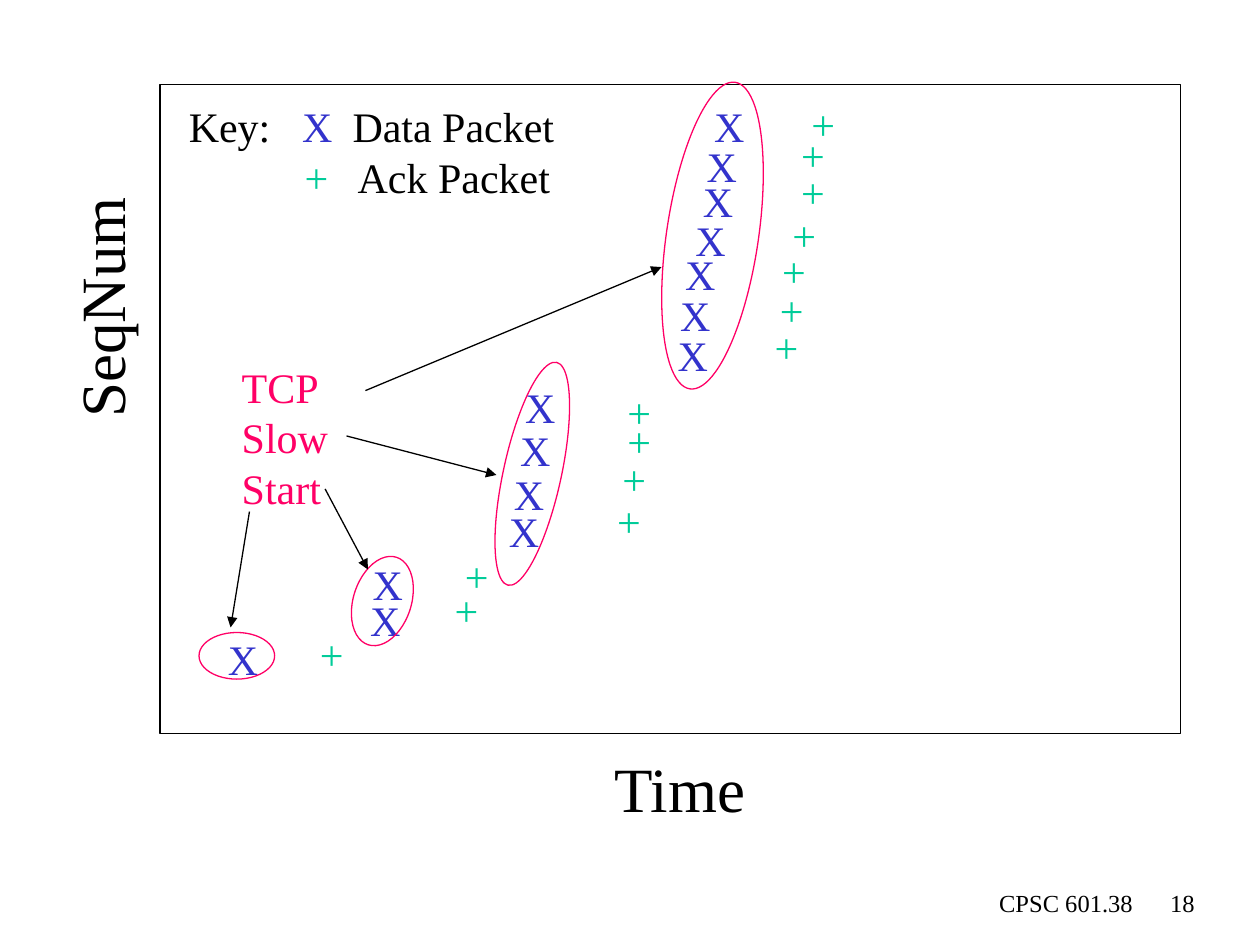
from typing import NamedTuple

from lxml import etree
from pptx import Presentation
from pptx.dml.color import RGBColor
from pptx.enum.shapes import MSO_CONNECTOR, MSO_SHAPE
from pptx.enum.text import MSO_AUTO_SIZE, PP_ALIGN
from pptx.oxml.ns import qn
from pptx.util import Inches, Pt

STRAIGHT = MSO_CONNECTOR.STRAIGHT
RECTANGLE, OVAL = MSO_SHAPE.RECTANGLE, MSO_SHAPE.OVAL
LEFT, RIGHT = PP_ALIGN.LEFT, PP_ALIGN.RIGHT
FIT_SHAPE = MSO_AUTO_SIZE.SHAPE_TO_FIT_TEXT

FONT = "Times New Roman"
BLACK, BLUE, GREEN, PINK = "000000", "3333CC", "00CC99", "FF0066"

# The slide is a grid of 100 columns by 75 rows of square cells.
COLUMNS, ROWS = 100, 75
CELL = Inches(0.1)


class Box(NamedTuple):
    column: float
    row: float
    columns: float
    rows: float


class Run(NamedTuple):
    text: str
    color: str = BLACK


class Burst(NamedTuple):
    """Packets sent in one round trip, their acks, and the oval around them."""
    oval: Box
    rotation: float
    packets: list[tuple[float, float]]
    acks: list[tuple[float, float]]
    arrow: tuple[float, float, float, float]


BURSTS = [
    Burst(Box(15.8, 50.2, 6, 3.7), 0,
          [(17.1, 49.8)],
          [(24.4, 49.4)],
          (19.8, 40.6, 18.3, 49.8)),
    Burst(Box(26.7, 45.4, 7.3, 4.6), 287.9,
          [(28.6, 43.8), (28.4, 46.7)],
          [(35.9, 43.2), (35.1, 45.9)],
          (25.8, 38.8, 29.2, 45.2)),
    Burst(Box(33.2, 35.3, 18.1, 4.6), 282.3,
          [(40.7, 29.8), (40.3, 33.2), (39.8, 36.7), (39.4, 39.6)],
          [(48.8, 30.2), (48.8, 32.5), (48.4, 35.5), (48, 38.8)],
          (27.5, 34.6, 39.4, 37.7)),
    Burst(Box(52.9, 6.4, 7.3, 24.6), 8.4,
          [(55.7, 7.5), (55.1, 10.7), (54.8, 13.4), (54.2, 16.5),
           (53.4, 19.2), (53, 22.5), (52.8, 25.7)],
          [(63.4, 7.3), (62.6, 9.8), (62.6, 12.7), (61.9, 16.1),
           (61.1, 19), (60.9, 22.1), (60.5, 25)],
          (29, 31, 52.5, 21.2)),
]


def cells(count: float) -> int:
    return round(count * CELL)


def rgb(color: str) -> RGBColor:
    return RGBColor.from_string(color)


def add_text(slide, box: Box, lines: list[list[Run]], size: float = 24,
             alignment=LEFT, wrap: bool = False):
    shape = slide.shapes.add_textbox(*map(cells, box))
    frame = shape.text_frame
    frame.word_wrap = wrap
    if not wrap:
        frame.auto_size = FIT_SHAPE
    for index, line in enumerate(lines):
        paragraph = frame.add_paragraph() if index else frame.paragraphs[0]
        paragraph.alignment = alignment
        for text, color in line:
            run = paragraph.add_run()
            run.text = text
            run.font.name = FONT
            run.font.size = Pt(size)
            run.font.color.rgb = rgb(color)
    return shape


def set_tab_stops(paragraph, stops: list[float]) -> None:
    properties = paragraph._p.get_or_add_pPr()
    tab_list = etree.SubElement(properties, qn("a:tabLst"))
    for stop in stops:
        etree.SubElement(tab_list, qn("a:tab"), pos=str(cells(stop)), algn="l")


def add_outline(slide, kind, box: Box, color: str, rotation: float = 0) -> None:
    shape = slide.shapes.add_shape(kind, *map(cells, box))
    shape.shadow.inherit = False
    shape.fill.background()
    shape.line.color.rgb = rgb(color)
    shape.line.width = Pt(0.75)
    shape.rotation = rotation


def add_arrow(slide, ends: tuple[float, float, float, float]) -> None:
    arrow = slide.shapes.add_connector(STRAIGHT, *map(cells, ends))
    arrow.line.color.rgb = rgb(BLACK)
    arrow.line.width = Pt(0.75)
    etree.SubElement(arrow.line._get_or_add_ln(), qn("a:tailEnd"), type="triangle")
    etree.SubElement(arrow._element.spPr, qn("a:effectLst"))


def add_key(slide) -> None:
    lines = [
        [Run("Key:\t"), Run("X", BLUE), Run("\tData Packet")],
        [Run("\t"), Run("+", GREEN), Run("\tAck Packet")],
    ]
    key = add_text(slide, Box(14, 7.5, 31, 9), lines, wrap=True)
    for paragraph, stops in zip(key.text_frame.paragraphs, ([9, 13], [9.2, 13.4])):
        set_tab_stops(paragraph, stops)


def add_burst(slide, burst: Burst) -> None:
    for column, row in burst.packets:
        add_text(slide, Box(column, row, 4.4, 5), [[Run("X", BLUE)]])
    for column, row in burst.acks:
        add_text(slide, Box(column, row, 3.9, 5), [[Run("+", GREEN)]])
    add_outline(slide, OVAL, burst.oval, PINK, burst.rotation)
    add_arrow(slide, burst.arrow)


def main() -> None:
    presentation = Presentation()
    presentation.slide_width = cells(COLUMNS)
    presentation.slide_height = cells(ROWS)
    slide = presentation.slides.add_slide(presentation.slide_layouts[6])

    add_outline(slide, RECTANGLE, Box(12.7, 6.7, 81, 51.5), BLACK)
    add_text(slide, Box(47.8, 59, 12.5, 7), [[Run("Time")]], 36)
    sequence_axis = add_text(slide, Box(-1.8, 20.9, 19.5, 7), [[Run("SeqNum")]], 36)
    sequence_axis.rotation = 270
    add_key(slide)

    for burst in BURSTS:
        add_burst(slide, burst)
    add_text(slide, Box(18.2, 28.2, 8.9, 13),
             [[Run(word, PINK)] for word in ("TCP", "Slow", "Start")])

    add_text(slide, Box(59.2, 70, 31.7, 5), [[Run("CPSC 601.38")]], 14, RIGHT, True)
    add_text(slide, Box(90.8, 70, 5, 5), [[Run("18")]], 14, RIGHT, True)
    presentation.save("out.pptx")


if __name__ == "__main__":
    main()
